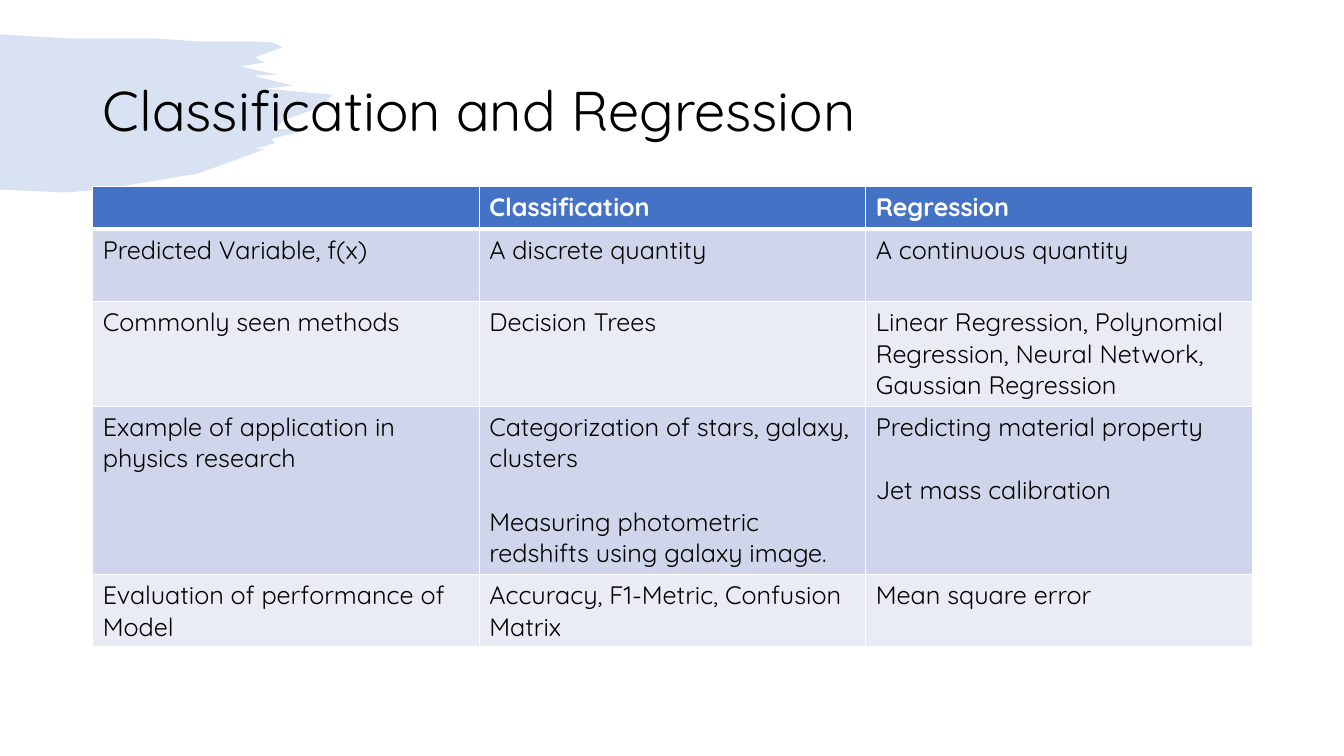
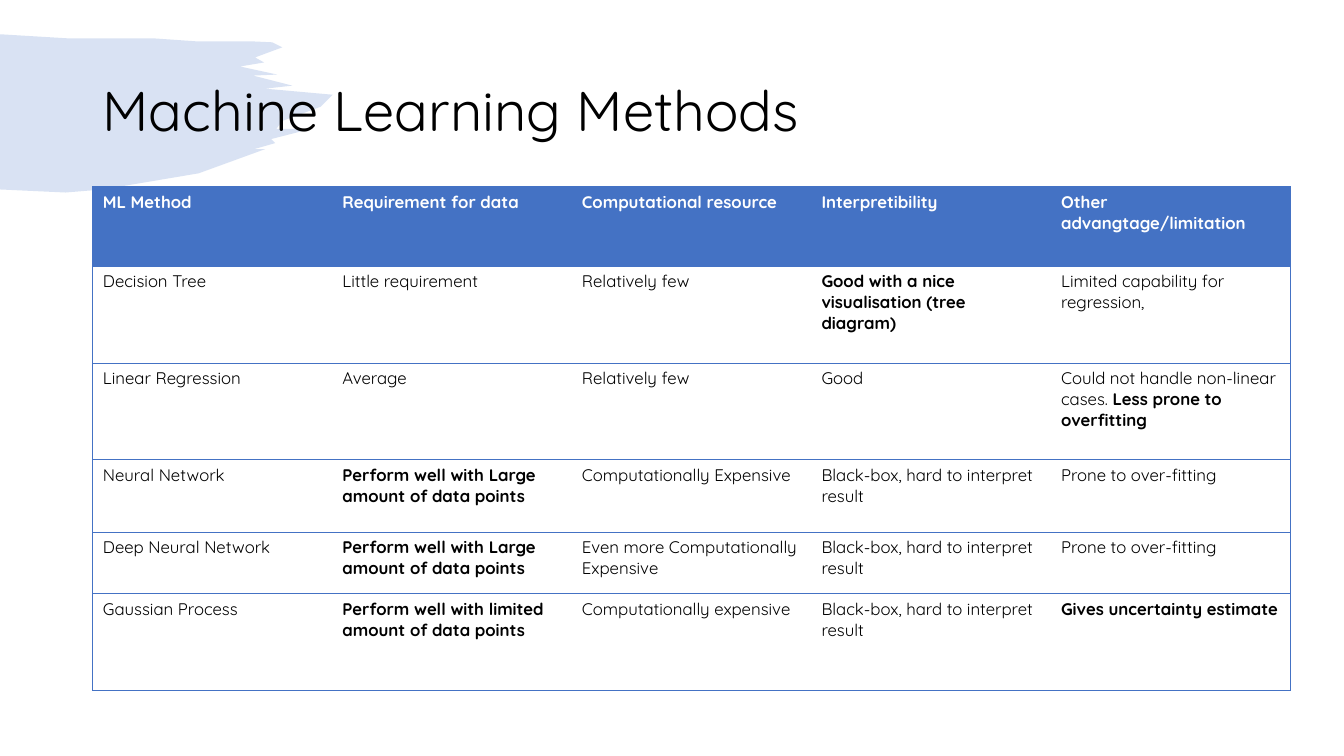
"""Build two slides that compare machine learning methods in tables."""

from dataclasses import dataclass

from lxml import etree
from pptx import Presentation
from pptx.dml.color import RGBColor
from pptx.enum.text import MSO_ANCHOR
from pptx.oxml.ns import qn
from pptx.slide import Slide
from pptx.table import _Cell
from pptx.text.text import _Paragraph
from pptx.util import Emu, Pt

PX = 9144
SLIDE_WIDTH, SLIDE_HEIGHT = 1333, 750
BLANK_LAYOUT = 6
ANCHOR_MIDDLE = MSO_ANCHOR.MIDDLE
FONT = "Quicksand"
TITLE_SIZE = 40
LEFT, TABLE_TOP = 92, 185
TITLE_TOP, TITLE_WIDTH, TITLE_HEIGHT = 40, 1150, 145
BRUSH_ALPHA = 20
BOLD_MARK = "**"

COLORS = {
    "accent": "4472C4",
    "white": "FFFFFF",
    "text": "000000",
    "band_dark": "CFD5EA",
    "band_light": "E9EBF5",
}

BRUSH_OUTLINE = (
    (0, 34), (66, 38), (151, 38), (194, 41), (248, 41), (270, 42), (280, 47),
    (253, 57), (262, 62), (238, 66), (275, 74), (251, 75), (290, 85), (263, 88),
    (330, 94), (318, 106), (280, 120), (274, 128), (308, 128), (269, 138),
    (273, 142), (252, 148), (263, 148), (197, 172), (102, 188), (65, 191), (0, 188),
)


@dataclass(frozen=True)
class TableStyle:
    font_size: int
    paragraph_gap: float
    bands: tuple[str | None, ...]
    line_color: str
    line_width: float
    header_line_width: float
    inner_verticals: bool


@dataclass(frozen=True)
class TableSlide:
    title: str
    style: TableStyle
    width: int
    row_heights: tuple[int, ...]
    rows: tuple[tuple[str, ...], ...]


BANDED = TableStyle(18, 22.5, ("band_dark", "band_light"), "white", 1, 3, True)
RULED = TableStyle(12, 0, (None,), "accent", 0.5, 0.5, False)
BLACK_BOX = "Black-box, hard to interpret result"
LARGE_DATA = "**Perform well with Large**\n**amount of data points**"

SLIDES = (
    TableSlide(
        "Classification and Regression", BANDED, 1150, (42, 72, 104, 167, 72),
        (
            ("", "Classification", "Regression"),
            ("Predicted Variable, f(x)", "A discrete quantity", "A continuous quantity"),
            ("Commonly seen methods", "Decision Trees",
             "Linear Regression, Polynomial Regression, Neural Network, Gaussian Regression"),
            ("Example of application in physics research",
             "Categorization of stars, galaxy, clusters\n"
             "Measuring photometric redshifts using galaxy image.",
             "Predicting material property\nJet mass calibration"),
            ("Evaluation of performance of Model",
             "Accuracy, F1-Metric, Confusion Matrix", "Mean square error"),
        ),
    ),
    TableSlide(
        "Machine Learning Methods", RULED, 1188, (79, 96, 96, 72, 61, 96),
        (
            ("ML Method", "Requirement for data", "Computational resource",
             "Interpretibility", "Other advangtage/limitation"),
            ("Decision Tree", "Little requirement", "Relatively few",
             "**Good with a nice visualisation (tree diagram)**",
             "Limited capability for regression,"),
            ("Linear Regression", "Average", "Relatively few", "Good",
             "Could not handle non-linear cases. **Less prone to overfitting**"),
            ("Neural Network", LARGE_DATA, "Computationally Expensive",
             BLACK_BOX, "Prone to over-fitting"),
            ("Deep Neural Network", LARGE_DATA, "Even more Computationally Expensive",
             BLACK_BOX, "Prone to over-fitting"),
            ("Gaussian Process", "**Perform well with limited**\n**amount of data points**",
             "Computationally expensive", BLACK_BOX, "**Gives uncertainty estimate**"),
        ),
    ),
)


def px(length: float) -> Emu:
    return Emu(round(length * PX))


def rgb(name: str) -> RGBColor:
    return RGBColor.from_string(COLORS[name])


def draw_brush(slide: Slide) -> None:
    start, *points = [(px(x), px(y)) for x, y in BRUSH_OUTLINE]
    builder = slide.shapes.build_freeform(*start)
    builder.add_line_segments(points, close=True)
    shape = builder.convert_to_shape()
    shape.shadow.inherit = False
    shape.fill.solid()
    shape.fill.fore_color.rgb = rgb("accent")
    shape.line.fill.background()
    color = shape._element.spPr.find(qn("a:solidFill")).find(qn("a:srgbClr"))
    etree.SubElement(color, qn("a:alpha"), val=str(BRUSH_ALPHA * 1000))


def format_runs(paragraph: _Paragraph, size: int, color: str) -> None:
    for run in paragraph.runs:
        run.font.name = FONT
        run.font.size = Pt(size)
        run.font.color.rgb = rgb(color)


def draw_title(slide: Slide, title: str) -> None:
    shape = slide.shapes.add_textbox(
        px(LEFT), px(TITLE_TOP), px(TITLE_WIDTH), px(TITLE_HEIGHT)
    )
    text_frame = shape.text_frame
    text_frame.word_wrap = True
    text_frame.vertical_anchor = ANCHOR_MIDDLE
    text_frame.text = title
    paragraph = text_frame.paragraphs[0]
    paragraph.line_spacing = 0.9
    format_runs(paragraph, TITLE_SIZE, "text")


def write_cell(cell: _Cell, text: str, style: TableStyle, header: bool) -> None:
    text_frame = cell.text_frame
    for index, line in enumerate(text.split("\n")):
        paragraph = text_frame.add_paragraph() if index else text_frame.paragraphs[0]
        if index:
            paragraph.space_before = Pt(style.paragraph_gap)
        for part_index, part in enumerate(line.split(BOLD_MARK)):
            if part:
                run = paragraph.add_run()
                run.text = part
                run.font.bold = header or part_index % 2 == 1
        format_runs(paragraph, style.font_size, "white" if header else "text")


def fill_cell(cell: _Cell, color: str | None) -> None:
    if color is None:
        cell.fill.background()
    else:
        cell.fill.solid()
        cell.fill.fore_color.rgb = rgb(color)


def border_cell(cell: _Cell, widths: dict[str, float], color: str) -> None:
    properties = cell._tc.get_or_add_tcPr()
    for position, (side, width) in enumerate(widths.items()):
        line = etree.Element(qn(f"a:ln{side}"), w=str(Pt(width)))
        if width:
            fill = etree.SubElement(line, qn("a:solidFill"))
            etree.SubElement(fill, qn("a:srgbClr"), val=COLORS[color])
        else:
            etree.SubElement(line, qn("a:noFill"))
        properties.insert(position, line)


def draw_table(slide: Slide, content: TableSlide) -> None:
    style = content.style
    row_count, column_count = len(content.rows), len(content.rows[0])
    table = slide.shapes.add_table(
        row_count, column_count, px(LEFT), px(TABLE_TOP),
        px(content.width), px(sum(content.row_heights)),
    ).table
    table.first_row = False
    table.horz_banding = False
    for column in table.columns:
        column.width = px(content.width / column_count)
    for row, height in zip(table.rows, content.row_heights):
        row.height = px(height)

    inner_width = style.line_width if style.inner_verticals else 0
    verticals = [style.line_width, *[inner_width] * (column_count - 1), style.line_width]
    horizontals = [style.line_width] * (row_count + 1)
    horizontals[1] = style.header_line_width
    for row_index, texts in enumerate(content.rows):
        header = row_index == 0
        band = style.bands[(row_index - 1) % len(style.bands)]
        for column_index, text in enumerate(texts):
            cell = table.cell(row_index, column_index)
            write_cell(cell, text, style, header)
            fill_cell(cell, "accent" if header else band)
            widths = {
                "L": verticals[column_index],
                "R": verticals[column_index + 1],
                "T": horizontals[row_index],
                "B": horizontals[row_index + 1],
            }
            border_cell(cell, widths, style.line_color)


def main() -> None:
    presentation = Presentation()
    presentation.slide_width = px(SLIDE_WIDTH)
    presentation.slide_height = px(SLIDE_HEIGHT)
    for content in SLIDES:
        slide = presentation.slides.add_slide(presentation.slide_layouts[BLANK_LAYOUT])
        draw_brush(slide)
        draw_title(slide, content.title)
        draw_table(slide, content)
    presentation.save("out.pptx")


if __name__ == "__main__":
    main()
